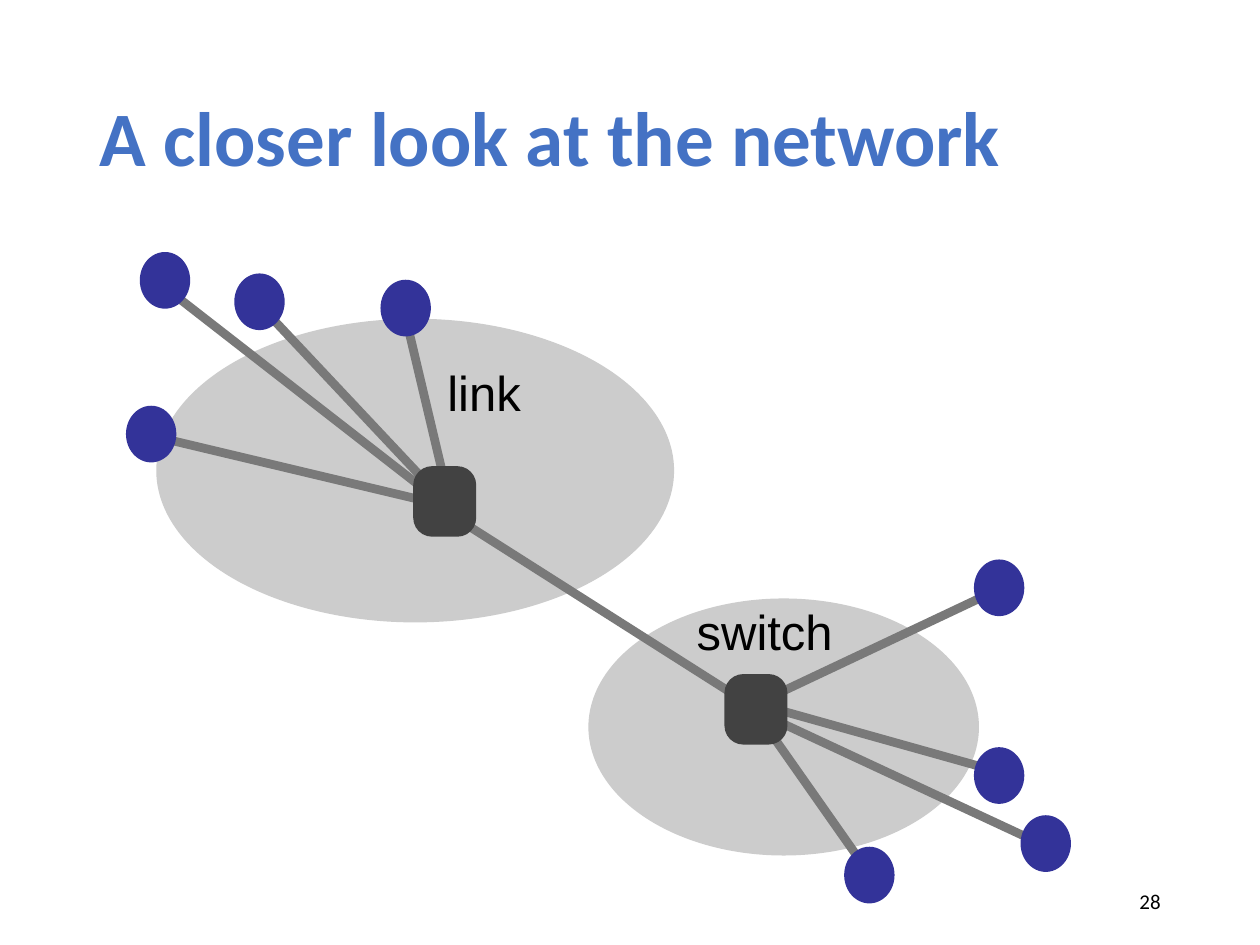
from pptx import Presentation
from pptx.dml.color import RGBColor
from pptx.enum.shapes import MSO_CONNECTOR, MSO_SHAPE
from pptx.enum.text import MSO_ANCHOR, MSO_AUTO_SIZE, PP_ALIGN
from pptx.oxml import parse_xml
from pptx.oxml.ns import nsdecls
from pptx.util import Inches, Pt

TITLE = {"name": "Calibri", "size": Pt(44), "bold": True}
LABEL = {"name": "Arial", "size": Pt(28), "bold": False}
NUMBER = {"name": "Calibri", "size": Pt(12), "bold": False}

# All places in the network are relative to its top left corner.
CLOUDS = [(3.67, 2.75, 3.1, 2.04), (0.24, 0.53, 4.11, 2.41)]
SWITCHES = [(2.28, 1.7), (4.75, 3.35)]
SWITCH_SIZE = (0.5, 0.56)
HOST_SIZE = (0.4, 0.45)
# Host corner, link start at the host, link end at the switch
HOSTS = [
    ((0, 1.22), (0.21, 1.46), (2.48, 2.0)),
    ((0.11, 0), (0.32, 0.29), (2.44, 1.94)),
    ((0.86, 0.17), (1.06, 0.42), (2.48, 1.93)),
    ((2.02, 0.22), (2.22, 0.52), (2.58, 2.04)),
    ((6.73, 2.44), (6.92, 2.68), (4.95, 3.61)),
    ((6.73, 3.93), (6.91, 4.12), (5.02, 3.59)),
    ((7.1, 4.47), (7.31, 4.72), (4.97, 3.63)),
    ((5.7, 4.72), (5.89, 4.92), (5.02, 3.68)),
]
TRUNK = ((2.46, 2.01), (5.01, 3.63))
LABELS = [("switch", (4.47, 2.72, 1.2, 0.58)), ("link", (2.49, 0.82, 0.72, 0.58))]


def color(value):
    return RGBColor.from_string(value)


def inches(values):
    return [Inches(value) for value in values]


def write(shape, text, style, ink, align=PP_ALIGN.LEFT):
    frame = shape.text_frame
    frame.vertical_anchor = MSO_ANCHOR.MIDDLE
    para = frame.paragraphs[0]
    para.alignment = align
    span = para.add_run()
    span.text = text
    for name, value in style.items():
        setattr(span.font, name, value)
    span.font.color.rgb = color(ink)
    return para


def add_node(page, kind, box, fill):
    node = page.shapes.add_shape(kind, *inches(box))
    node.shadow.inherit = False
    node.fill.solid()
    node.fill.fore_color.rgb = color(fill)
    node.line.fill.background()
    return node


def add_link(page, start, end):
    link = page.shapes.add_connector(MSO_CONNECTOR.STRAIGHT, *inches(start + end))
    link.line.color.rgb = color("797979")
    link.line.width = Pt(5)
    link._element.spPr.append(parse_xml(f"<a:effectLst {nsdecls('a')}/>"))


def add_label(page, text, box):
    label = page.shapes.add_textbox(*inches(box))
    frame = label.text_frame
    frame.word_wrap = False
    frame.auto_size = MSO_AUTO_SIZE.SHAPE_TO_FIT_TEXT
    for side in ("left", "top", "right", "bottom"):
        setattr(frame, f"margin_{side}", Inches(0.06))
    write(label, text, LABEL, "000000")


def add_title(page, text, box):
    title = page.shapes.title
    title.left, title.top, title.width, title.height = inches(box)
    title.text_frame.word_wrap = True
    write(title, text, TITLE, "4472C4").line_spacing = 0.9


def add_page_number(page, text, box):
    number = page.shapes.add_textbox(*inches(box))
    number.text_frame.word_wrap = True
    write(number, text, NUMBER, "000000", PP_ALIGN.RIGHT)


def add_network(page, left, top):
    """Stack clouds, links, labels, switches and hosts, in that order."""
    def at(point):
        return (left + point[0], top + point[1])

    for x, y, *size in CLOUDS:
        add_node(page, MSO_SHAPE.OVAL, (*at((x, y)), *size), "CCCCCC")
    for start, end in [TRUNK] + [host[1:] for host in HOSTS]:
        add_link(page, at(start), at(end))
    for text, (x, y, *size) in LABELS:
        add_label(page, text, (*at((x, y)), *size))
    for corner in SWITCHES:
        switch = add_node(page, MSO_SHAPE.ROUNDED_RECTANGLE,
                          at(corner) + SWITCH_SIZE, "424242")
        switch.adjustments[0] = 0.3
    for corner, *_ in HOSTS:
        add_node(page, MSO_SHAPE.OVAL, at(corner) + HOST_SIZE, "333399")


def main():
    deck = Presentation()
    deck.slide_width, deck.slide_height = inches((10, 7.5))
    page = deck.slides.add_slide(deck.slide_layouts[5])
    add_title(page, "A closer look at the network", (0.69, 0.4, 8.62, 1.45))
    add_network(page, 1, 2)
    add_page_number(page, "28", (7.06, 6.95, 2.25, 0.4))
    deck.save("out.pptx")


if __name__ == "__main__":
    main()
